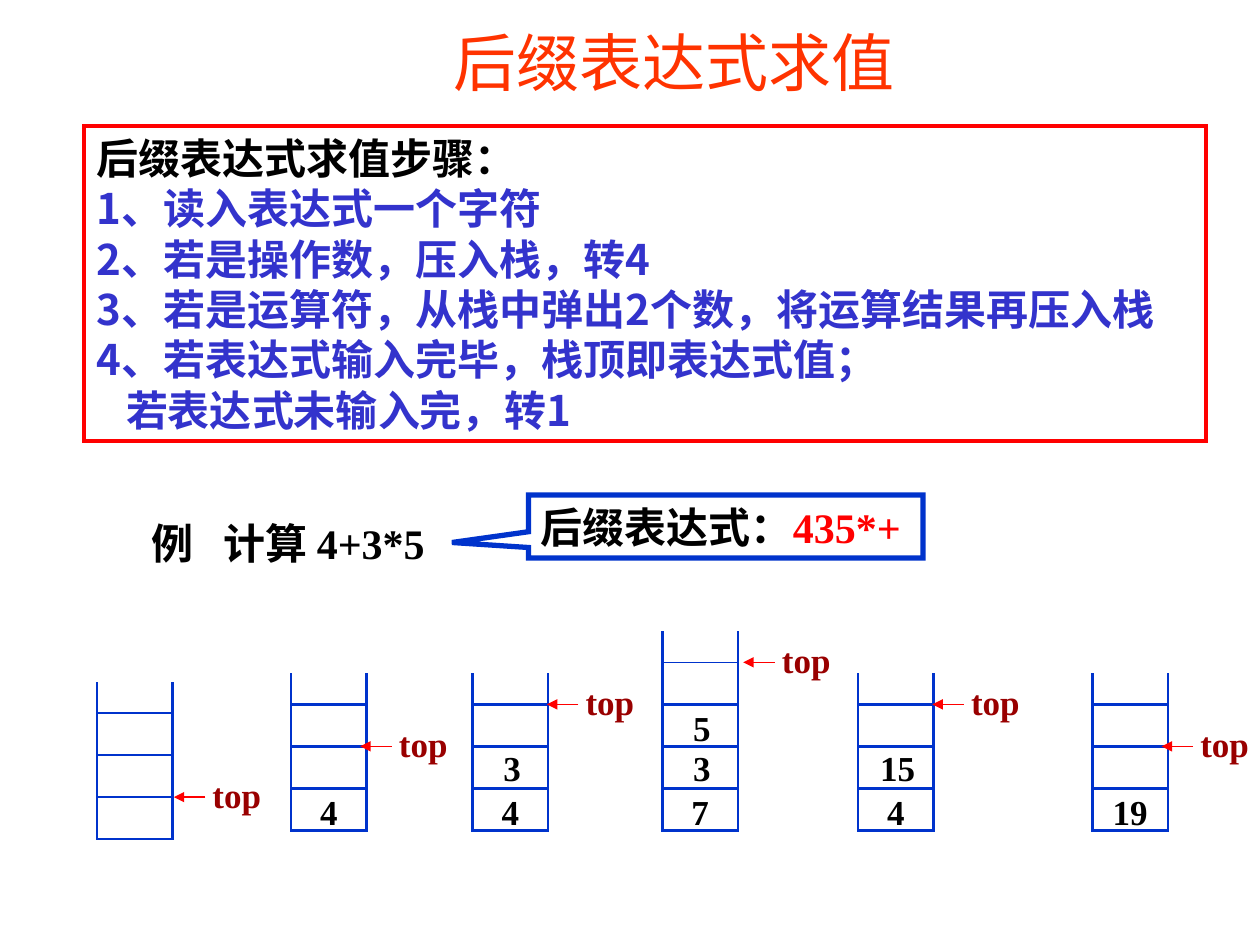
from lxml import etree
from pptx import Presentation
from pptx.dml.color import RGBColor
from pptx.enum import shapes, text
from pptx.oxml import ns
from pptx.util import Pt

SERIF, SANS = "Times New Roman", "Noto Sans CJK SC"
BLACK, WHITE, RED, BLUE = "000000", "FFFFFF", "FF0000", "0033CC"
CELL_WIDTH, CELL_HEIGHT, CELL_COUNT = 43.2, 24, 3

STEPS = [
    "后缀表达式求值步骤：",
    "1、读入表达式一个字符",
    "2、若是操作数，压入栈，转4",
    "3、若是运算符，从栈中弹出2个数，将运算结果再压入栈",
    "4、若表达式输入完毕，栈顶即表达式值；",
    "若表达式未输入完，转1",
]

# left, base, wall height, values from the bottom up, top level, gap to arrow tip
STACKS = [
    (55.4, 479.5, 90, [], 1, 0.7),
    (166.3, 474.5, 90, ["4"], 2, -3.6),
    (270, 474.5, 90, ["4", "3"], 3, -0.7),
    (378.5, 474.5, 114, ["7", "3", "5"], 4, 3),
    (490.3, 474.5, 90, ["4", "15"], 3, -0.7),
    (624.2, 474.5, 90, ["19"], 2, -3.6),
]


def color(value):
    return RGBColor.from_string(value)


def set_font(font, size, name, value, bold=True):
    font.size, font.name, font.bold = Pt(size), name, bold
    font.color.rgb = color(value)


def place(shape, left, top, width, height):
    shape.left, shape.top = Pt(left), Pt(top)
    shape.width, shape.height = Pt(width), Pt(height)


def set_frame(frame, anchor=text.MSO_ANCHOR.MIDDLE, wrap=False):
    frame.word_wrap = wrap
    frame.auto_size = text.MSO_AUTO_SIZE.NONE
    frame.vertical_anchor = anchor


def set_outline(shape, value, width):
    """A solid outline with sharp corners."""
    shape.line.color.rgb = color(value)
    shape.line.width = Pt(width)
    etree.SubElement(shape.line._get_or_add_ln(), ns.qn("a:miter"), lim="800000")


def style_shape(shape, line, width):
    shape.shadow.inherit = False
    shape.fill.solid()
    shape.fill.fore_color.rgb = color(WHITE)
    set_outline(shape, line, width)


def add_line(parent, start, end, value, width, arrow=False):
    line = parent.add_connector(
        shapes.MSO_CONNECTOR.STRAIGHT, *(Pt(n) for n in (*start, *end)))
    line.line.color.rgb = color(value)
    line.line.width = Pt(width)
    if arrow:
        etree.SubElement(line.line._get_or_add_ln(), ns.qn("a:tailEnd"), type="triangle")
    etree.SubElement(line._element.spPr, ns.qn("a:effectLst"))


def add_label(parent, center_x, center_y, width, words, value):
    height = 31.7
    box = parent.add_textbox(Pt(center_x - width / 2), Pt(center_y - height / 2),
                             Pt(width), Pt(height))
    set_frame(box.text_frame)
    paragraph = box.text_frame.paragraphs[0]
    paragraph.text = words
    paragraph.alignment = text.PP_ALIGN.CENTER
    set_font(paragraph.font, 20, SERIF, value)


def add_title(slide, *box):
    title = slide.shapes.title
    place(title, *box)
    set_frame(title.text_frame, text.MSO_ANCHOR.TOP)
    paragraph = title.text_frame.paragraphs[0]
    paragraph.text = "后缀表达式求值"
    paragraph.alignment = text.PP_ALIGN.LEFT
    set_font(paragraph.font, 36, "Arial Narrow", "FF3300", bold=False)


def add_steps(slide, *box):
    body = slide.placeholders[1]
    place(body, *box)
    set_outline(body, RED, 2.25)
    set_frame(body.text_frame, wrap=True)
    body.text_frame.text = "\n".join(STEPS)
    for index, paragraph in enumerate(body.text_frame.paragraphs):
        paragraph.space_before = Pt(0)
        properties = paragraph._p.get_or_add_pPr()
        is_last = index == len(STEPS) - 1
        properties.set("marL", str(Pt(16.6) if is_last else 0))
        properties.set("indent", "0")
        etree.SubElement(properties, ns.qn("a:buNone"))
        set_font(paragraph.font, 24, SANS, "3333CC" if index else BLACK)


def add_example(slide, left, top, width, height):
    """The expression to compute and, in a callout, its postfix form."""
    box = slide.shapes.add_textbox(Pt(left), Pt(top), Pt(width), Pt(height))
    set_frame(box.text_frame)
    paragraph = box.text_frame.paragraphs[0]
    paragraph.text = "例\t计算 4+3*5"
    tabs = etree.SubElement(paragraph._p.get_or_add_pPr(), ns.qn("a:tabLst"))
    etree.SubElement(tabs, ns.qn("a:tab"), pos=str(Pt(41)), algn="l")
    set_font(paragraph.font, 24, SERIF, BLACK)

    callout = slide.shapes.add_shape(
        shapes.MSO_SHAPE.RECTANGULAR_CALLOUT,
        Pt(left + 222.5), Pt(top - 9.4), Pt(225.4), Pt(height))
    callout.adjustments[0], callout.adjustments[1] = -0.694, 0.254
    style_shape(callout, BLUE, 3)
    set_frame(callout.text_frame)
    paragraph = callout.text_frame.paragraphs[0]
    paragraph.alignment = text.PP_ALIGN.LEFT
    for words, value in (("后缀表达式：", BLACK), ("435*+", RED)):
        run = paragraph.add_run()
        run.text = words
        set_font(run.font, 24, SERIF, value)


def add_stack(slide, left, base, wall_height, values, top_level, gap):
    group = slide.shapes.add_group_shape().shapes
    right = left + CELL_WIDTH
    for x in (left, right):
        add_line(group, (x, base), (x, base - wall_height), BLUE, 1.5)
    for row in range(1, CELL_COUNT + 1):
        cell = group.add_shape(
            shapes.MSO_SHAPE.RECTANGLE, Pt(left), Pt(base - row * CELL_HEIGHT),
            Pt(CELL_WIDTH), Pt(CELL_HEIGHT))
        style_shape(cell, BLUE, 1.5)

    level_y = base - top_level * CELL_HEIGHT
    if top_level > CELL_COUNT:
        add_line(group, (left, level_y), (right, level_y), BLUE, 0.75)
    tip = right + gap
    add_line(group, (tip + 18, level_y), (tip, level_y), RED, 0.75, arrow=True)
    add_label(group, tip + 36, level_y - 1.4, 41.8, "top", "990000")

    for row, value in enumerate(values):
        add_label(group, left + CELL_WIDTH / 2 + (1 if row else 0),
                  base - (row + 0.5) * CELL_HEIGHT + (0 if row == 1 else 1.5),
                  14.4 + 10 * len(value), value, BLACK)


def main():
    presentation = Presentation()
    presentation.slide_width, presentation.slide_height = Pt(720), Pt(540)
    slide = presentation.slides.add_slide(presentation.slide_layouts[1])
    add_title(slide, 252, 10, 280, 50.4)
    add_steps(slide, 48.2, 72, 640.8, 180)
    add_example(slide, 79.5, 292.3, 175.7, 36)
    for stack in STACKS:
        add_stack(slide, *stack)
    presentation.save("out.pptx")


if __name__ == "__main__":
    main()
